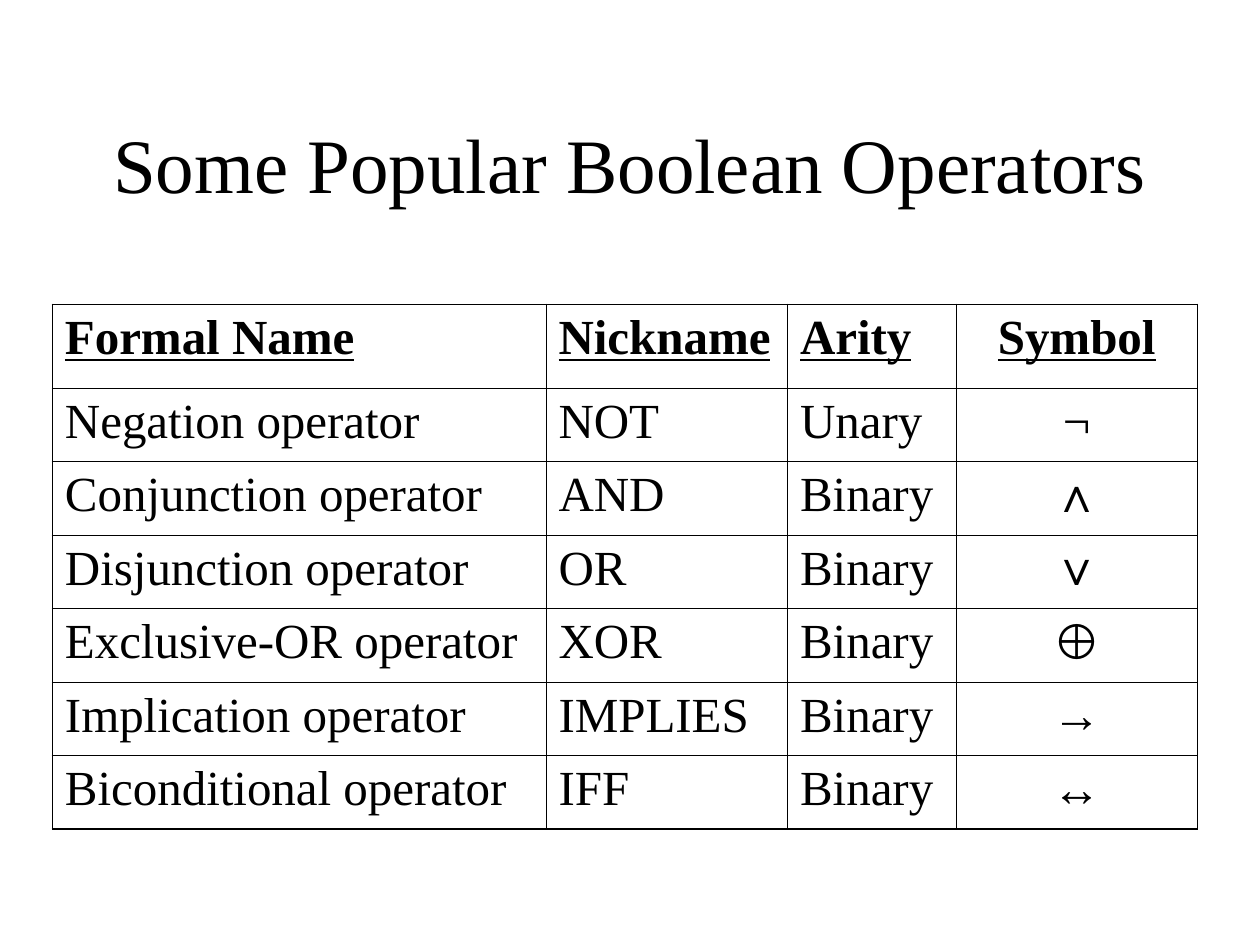
import pptx
import pptx.util
import pptx.dml.color
import pptx.enum.text
import pptx.oxml
import pptx.oxml.ns
from pptx.util import Cm, Pt

BLACK = pptx.dml.color.RGBColor(0x00, 0x00, 0x00)
WHITE = pptx.dml.color.RGBColor(0xFF, 0xFF, 0xFF)
SERIF, SANS = "Times New Roman", "Arial"
CENTER = pptx.enum.text.PP_ALIGN.CENTER
MIDDLE = pptx.enum.text.MSO_ANCHOR.MIDDLE
INNER, OUTER = Pt(0.45), Pt(1.08)


def style_font(paragraph, size, name=SERIF):
    paragraph.font.size = Pt(size)
    paragraph.font.name = name
    paragraph.font.color.rgb = BLACK


def add_border(cell, side, width):
    properties = cell._tc.get_or_add_tcPr()
    properties.append(pptx.oxml.parse_xml(
        f'<a:{side} {pptx.oxml.ns.nsdecls("a")} w="{width}"><a:solidFill>'
        f'<a:srgbClr val="{BLACK}"/></a:solidFill></a:{side}>'))


presentation = pptx.Presentation()
presentation.slide_width, presentation.slide_height = Cm(25.4), Cm(19.05)
slide = presentation.slides.add_slide(presentation.slide_layouts[5])

# Title
title = slide.shapes.title
title.left, title.top, title.width, title.height = Cm(1.9), Cm(1.7), Cm(21.6), Cm(3.17)
title.text_frame.text = "Some Popular Boolean Operators"
title.text_frame.auto_size = pptx.enum.text.MSO_AUTO_SIZE.NONE
title.text_frame.vertical_anchor = MIDDLE
title.text_frame.paragraphs[0].alignment = CENTER
style_font(title.text_frame.paragraphs[0], 44)

# Operator table
operators = [
    ("Formal Name", "Nickname", "Arity", "Symbol"),
    ("Negation operator", "NOT", "Unary", "¬"),
    ("Conjunction operator", "AND", "Binary", "∧"),
    ("Disjunction operator", "OR", "Binary", "∨"),
    ("Exclusive-OR operator", "XOR", "Binary", "⊕"),
    ("Implication operator", "IMPLIES", "Binary", "→"),
    ("Biconditional operator", "IFF", "Binary", "↔"),
]
column_widths = [Cm(9.95), Cm(4.87), Cm(3.39), Cm(4.87)]
header_height, row_height = Cm(1.69), Cm(1.48)
last_row, last_column = len(operators) - 1, len(column_widths) - 1

operator_table = slide.shapes.add_table(
    len(operators), len(column_widths), Cm(1.06), Cm(6.14),
    sum(column_widths), header_height + last_row * row_height).table
operator_table.first_row = operator_table.horz_banding = False
for column, width in zip(operator_table.columns, column_widths):
    column.width = width

for r, operator in enumerate(operators):
    operator_table.rows[r].height = row_height if r else header_height
    for c, wording in enumerate(operator):
        cell = operator_table.cell(r, c)
        cell.text = wording
        cell.margin_left = cell.margin_right = Cm(0.25)
        cell.margin_top = cell.margin_bottom = Cm(0.13)

        # Header bold and underlined, symbols centred
        paragraph = cell.text_frame.paragraphs[0]
        style_font(paragraph, 28, SANS if wording in "∧∨⊕→↔" else SERIF)
        paragraph.font.bold = paragraph.font.underline = r == 0
        if c == last_column:
            paragraph.alignment = CENTER

        # Heavier lines around the outside; borders precede the fill
        add_border(cell, "lnL", OUTER if c == 0 else INNER)
        add_border(cell, "lnR", OUTER if c == last_column else INNER)
        add_border(cell, "lnT", OUTER if r == 0 else INNER)
        add_border(cell, "lnB", OUTER if r == last_row else INNER)
        cell.fill.solid()
        cell.fill.fore_color.rgb = WHITE

presentation.save("out.pptx")
